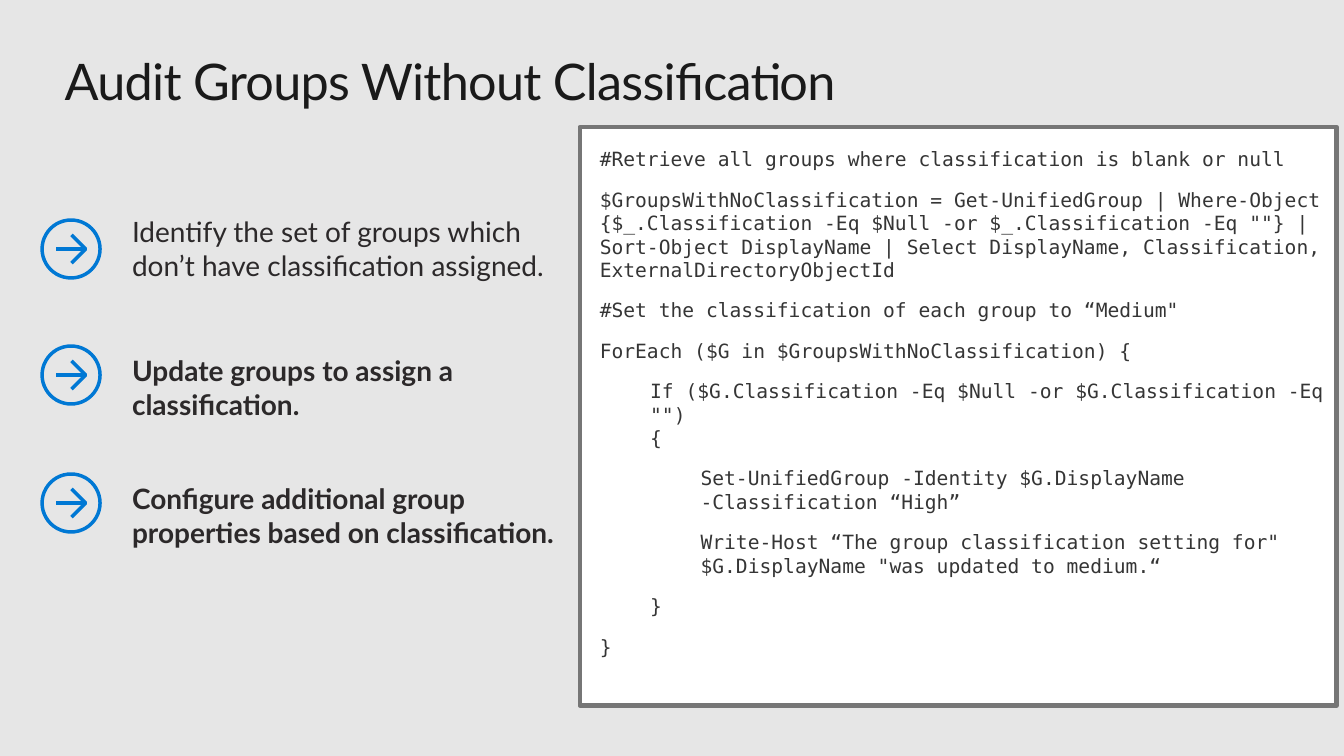
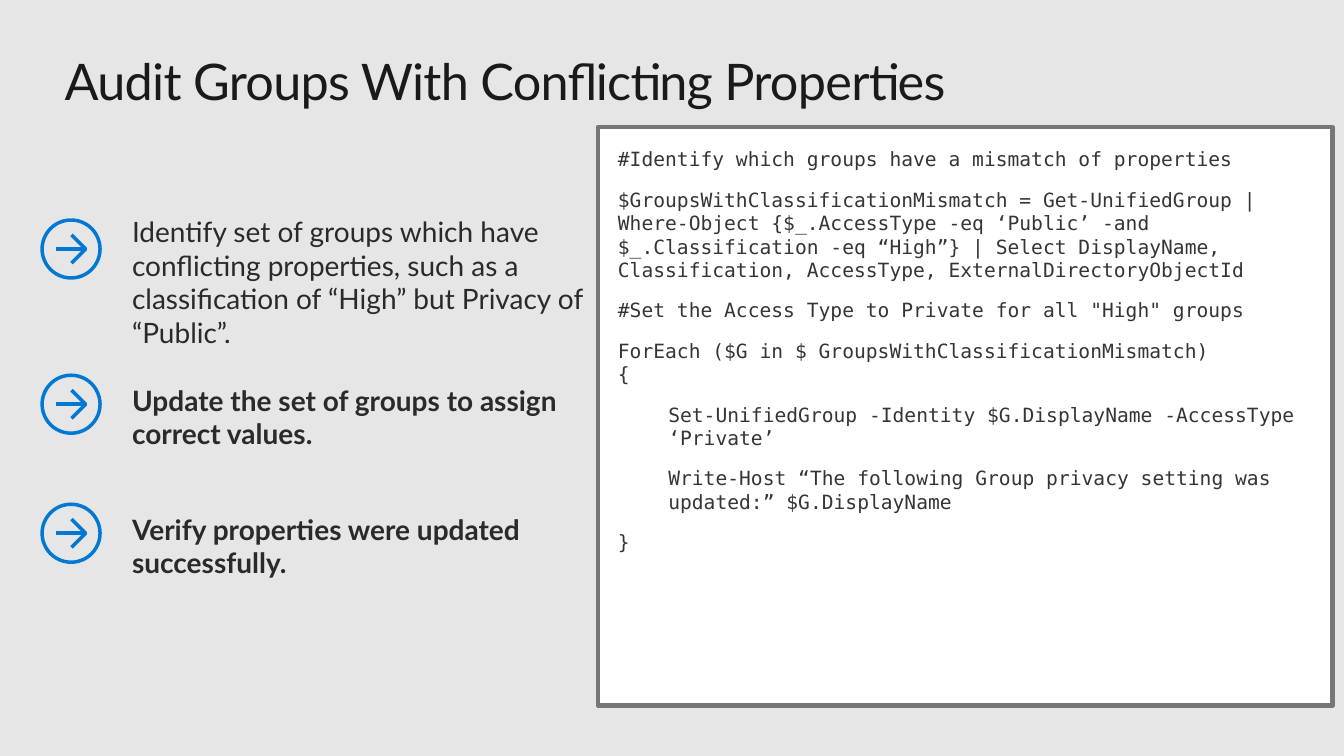
from pptx import Presentation
from pptx.dml.color import RGBColor
from pptx.enum.shapes import MSO_CONNECTOR as Connector, MSO_SHAPE as Shape
from pptx.enum.text import MSO_ANCHOR as Anchor, PP_ALIGN as Align
from pptx.oxml.ns import qn
from pptx.util import Inches, Pt
from lxml import etree

# Palette
GROUND = RGBColor(0xE6, 0xE6, 0xE6)
TITLE_INK = RGBColor(0x1A, 0x1A, 0x1A)
STEP_INK = RGBColor(0x2C, 0x29, 0x2A)
CODE_INK = RGBColor(0x35, 0x35, 0x35)
BLUE = RGBColor(0x00, 0x78, 0xD4)
FRAME_GRAY = RGBColor(0x76, 0x76, 0x76)
WHITE = RGBColor(0xFF, 0xFF, 0xFF)

# Text formats
TITLE = {"name": "Lato", "size": Pt(36)}
LEAD = {"name": "Lato", "size": Pt(20), "bold": False}
STEP = LEAD | {"bold": True}
CODE = {"name": "DejaVu Sans Mono", "size": Pt(14)}

# Grid: square cells, a tenth of an inch wide
WIDE, HIGH = 133.33, 75
ICON_X, ICON_SIZE = 7.05, 5.75
STEP_X, STEP_WIDTH = 11.1, 49.5
CODE_TOP, CODE_HEIGHT = 12.6, 57.4
LEAD_RISE, STEP_RISE = 5, 3.7  # from the icon's centre up to the text box

# Each step: row of the icon's centre, text. Each code line: level, text.
PAGES = [
    {
        "title": "Audit Groups Without Classification",
        "steps": [
            (24.7, "Identify the set of groups which don’t have classification assigned."),
            (37.2, "Update groups to assign a classification."),
            (49.9, "Configure additional group properties based on classification."),
        ],
        "code_span": (57.5, 75.1),
        "code": [
            (0, "#Retrieve all groups where classification is blank or null"),
            (0, "$GroupsWithNoClassification = Get-UnifiedGroup | Where-Object "
                "{$_.Classification -Eq $Null -or $_.Classification -Eq \"\"} | "
                "Sort-Object DisplayName | Select DisplayName, Classification, "
                "ExternalDirectoryObjectId"),
            (0, "#Set the classification of each group to “Medium\""),
            (0, "ForEach ($G in $GroupsWithNoClassification) {"),
            (1, "If ($G.Classification -Eq $Null -or $G.Classification -Eq \"\")\n{"),
            (2, "Set-UnifiedGroup -Identity $G.DisplayName -Classification “High”"),
            (2, "Write-Host “The group classification setting for\" "
                "$G.DisplayName \"was updated to medium.“"),
            (1, "}"),
            (0, "}"),
        ],
    },
    {
        "title": "Audit Groups With Conflicting Properties",
        "steps": [
            (24.7, "Identify set of groups which have conflicting properties, such as "
                   "a classification of “High” but Privacy of “Public”."),
            (40.1, "Update the set of groups to assign correct values."),
            (52.9, "Verify properties were updated successfully."),
        ],
        "code_span": (59.3, 72.9),
        "code": [
            (0, "#Identify which groups have a mismatch of properties"),
            (0, "$GroupsWithClassificationMismatch = Get-UnifiedGroup | "
                "Where-Object {$_.AccessType -eq ‘Public’ -and "
                "$_.Classification -eq “High”} | Select DisplayName, "
                "Classification, AccessType, ExternalDirectoryObjectId"),
            (0, "#Set the Access Type to Private for all \"High\" groups"),
            (0, "ForEach ($G in $ GroupsWithClassificationMismatch)\n{"),
            (1, "Set-UnifiedGroup -Identity $G.DisplayName -AccessType ‘Private’"),
            (1, "Write-Host “The following Group privacy setting was updated:” "
                "$G.DisplayName"),
            (0, "}"),
        ],
    },
]


def cells(*counts):
    return [Inches(count / 10) for count in counts]


def set_all(target, values):
    for name, value in values.items():
        setattr(target, name, value)


def set_frame(box, left, top, right, bottom):
    margins = dict(zip(("margin_left", "margin_top", "margin_right", "margin_bottom"),
                       cells(left, top, right, bottom)))
    frame = box.text_frame
    set_all(frame, margins | {"word_wrap": True, "vertical_anchor": Anchor.TOP})
    return frame


def write(para, text, look, ink):
    """Fill a paragraph, with a line break at each newline."""
    para.alignment = Align.LEFT
    for number, line in enumerate(text.split("\n")):
        if number:
            para.add_line_break()
        span = para.add_run()
        span.text = line
        set_all(span.font, look)
        span.font.color.rgb = ink
    return para


def stroke(item, color, weight):
    item.line.color.rgb = color
    item.line.width = Pt(weight)


def add_title(page, text):
    box = page.shapes.add_textbox(*cells(6.4, 5, 120.5, 6.1))
    para = write(set_frame(box, 0, 0, 0, 0).paragraphs[0], text, TITLE, TITLE_INK)
    for span in para.runs:
        span._r.get_or_add_rPr().set("spc", "-50")


def add_arrow_icon(page, row):
    """Ringed arrow, centred on the given row."""
    group = page.shapes.add_group_shape().shapes
    shaft = group.add_connector(Connector.STRAIGHT, *cells(5.6, row, 8.4, row))
    etree.SubElement(shaft._element.spPr, qn("a:effectLst"))

    points = [cells(7.1, row - 1.4), cells(8.5, row), cells(7.1, row + 1.4)]
    outline = group.build_freeform(*points[0])
    outline.add_line_segments(points[1:], close=False)
    head = outline.convert_to_shape()

    ring = group.add_shape(Shape.OVAL, *cells(
        ICON_X - ICON_SIZE / 2, row - ICON_SIZE / 2, ICON_SIZE, ICON_SIZE))
    for part in (head, ring):
        part.fill.background()
        part.shadow.inherit = False
    for part in (shaft, head, ring):
        stroke(part, BLUE, 2.5)


def add_step(page, row, text, look, rise):
    add_arrow_icon(page, row)
    box = page.shapes.add_textbox(*cells(STEP_X, row - rise, STEP_WIDTH, 10))
    write(set_frame(box, 2, 1.6, 2, 1.6).paragraphs[0], text, look, STEP_INK)


def add_code(page, left, width, lines):
    box = page.shapes.add_shape(Shape.RECTANGLE,
                                *cells(left, CODE_TOP, width, CODE_HEIGHT))
    box.shadow.inherit = False
    box.fill.solid()
    box.fill.fore_color.rgb = WHITE
    stroke(box, FRAME_GRAY, 3)
    frame = set_frame(box, 2, 2, 1, 1)
    for number, (level, text) in enumerate(lines):
        para = frame.add_paragraph() if number else frame.paragraphs[0]
        set_all(para, {"level": level, "space_after": Pt(12)})
        indent = para._p.get_or_add_pPr()
        indent.set("marL", str(Inches(level / 2)))
        indent.set("indent", "0")
        write(para, text, CODE, CODE_INK)


def main():
    deck = Presentation()
    deck.slide_width, deck.slide_height = cells(WIDE, HIGH)
    ground = deck.slide_master.background.fill
    ground.solid()
    ground.fore_color.rgb = GROUND

    for content in PAGES:
        page = deck.slides.add_slide(deck.slide_layouts[6])
        add_title(page, content["title"])
        add_code(page, *content["code_span"], content["code"])
        lead, *others = content["steps"]
        add_step(page, *lead, LEAD, LEAD_RISE)
        for step in others:
            add_step(page, *step, STEP, STEP_RISE)

    deck.save("out.pptx")


if __name__ == "__main__":
    main()
